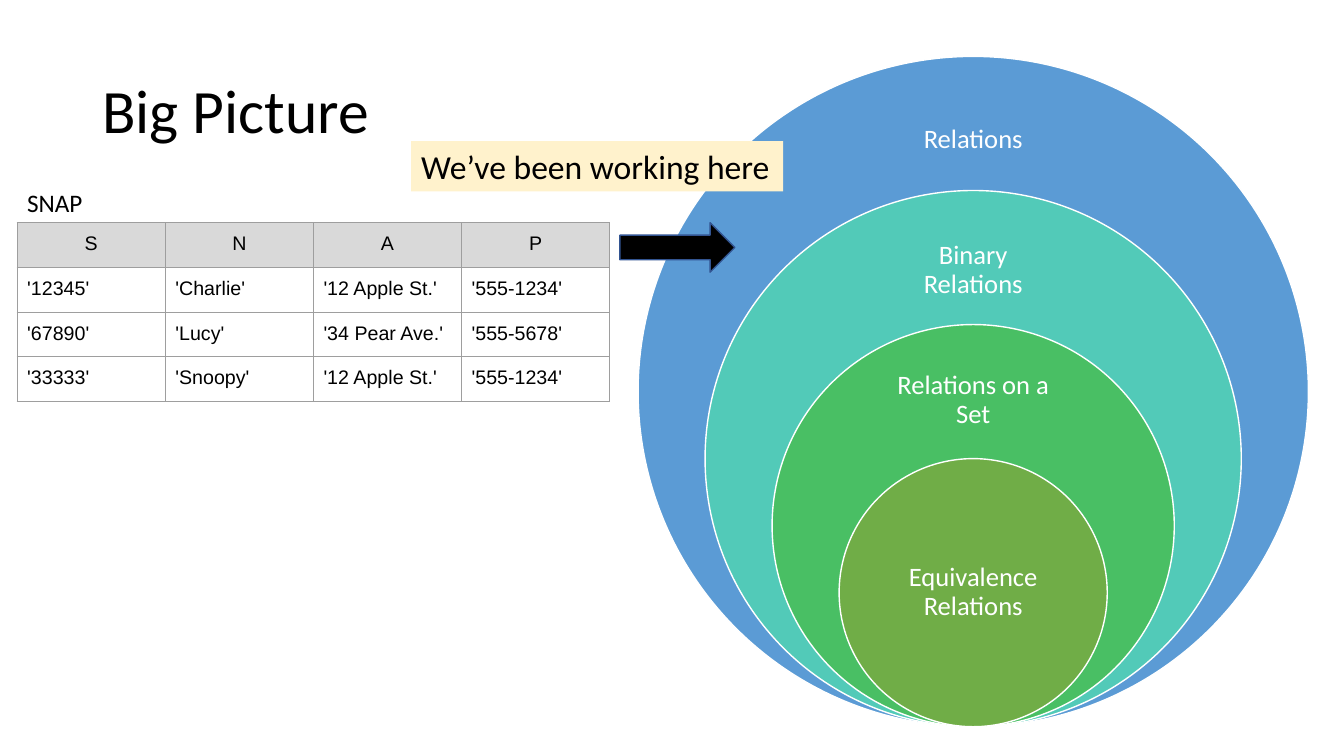
import pptx
import pptx.dml.color
import pptx.enum.shapes
import pptx.enum.text
import pptx.oxml
import pptx.oxml.ns
import pptx.util
from dataclasses import dataclass
from typing import Any

# Slide grid: 80 columns by 45 rows
WIDE, HIGH = pptx.util.Inches(13.333), pptx.util.Inches(7.5)
COLS, ROWS = 80, 45
SHAPE = pptx.enum.shapes.MSO_SHAPE
ALIGN = pptx.enum.text.PP_ALIGN
MIDDLE = pptx.enum.text.MSO_ANCHOR.MIDDLE
FIT = pptx.enum.text.MSO_AUTO_SIZE.SHAPE_TO_FIT_TEXT


@dataclass(frozen=True)
class Theme:
    font: str = "Calibri"
    cell_font: str = "Arial"
    title: int = 44
    note: int = 24
    ring: int = 19
    name: int = 18
    cell: int = 14
    black: str = "000000"
    white: str = "FFFFFF"
    cream: str = "FFF2CC"
    head: str = "D9D9D9"
    rule: str = "9E9E9E"
    edge: str = "325491"


@dataclass(frozen=True)
class Box:
    left: float
    top: float
    width: float
    height: float


@dataclass(frozen=True)
class Ring:
    text: str
    fill: str
    drop: float  # rows from the ring's top to its label
    height: float  # rows of the label


@dataclass(frozen=True)
class Label:
    text: str
    box: Box
    size: int
    color: str = "000000"
    fill: str = ""
    wrap: bool = False
    middle: bool = False
    center: bool = False
    tight: float = 1.0
    inset: float = 0.0  # inches on all sides; 0 keeps the default


THEME = Theme()
RINGS = [
    Ring("Relations", "5B9BD5", 1.98, 6),
    Ring("Binary Relations", "52CAB8", 1.86, 5.76),
    Ring("Relations on a Set", "49BF64", 1.8, 5.4),
    Ring("Equivalence Relations", "70AD47", 3.96, 7.98),
]
MID, BASE, STEP, SPAN = 57.93, 43.26, 7.98, 11.2
GRID = Box(1.02, 13.26, 35.28, 10.64)
ARROW = Box(36.9, GRID.top, 6.84, 2.94)
DATA = [
    ["S", "N", "A", "P"],
    ["'12345'", "'Charlie'", "'12 Apple St.'", "'555-1234'"],
    ["'67890'", "'Lucy'", "'34 Pear Ave.'", "'555-5678'"],
    ["'33333'", "'Snoopy'", "'12 Apple St.'", "'555-1234'"],
]
TITLE = Label("Big Picture", Box(5.5, 2.4, 69, 8.7), THEME.title,
              wrap=True, middle=True, tight=0.9)
NOTES = [
    Label("SNAP", Box(GRID.left, 10.86, 4.56, 2.4), THEME.name),
    Label("We’ve been working here", Box(24.48, 8.4, 22.14, 3), THEME.note,
          fill=THEME.cream),
]


def place(box: Box) -> tuple[int, int, int, int]:
    return (round(box.left / COLS * WIDE), round(box.top / ROWS * HIGH),
            round(box.width / COLS * WIDE), round(box.height / ROWS * HIGH))


def paint(fill: Any, color: str) -> None:
    fill.solid()
    fill.fore_color.rgb = pptx.dml.color.RGBColor.from_string(color)


def write(para: Any, text: str, font: str, size: int, color: str) -> None:
    run = para.add_run()
    run.text = text
    run.font.name = font
    run.font.size = pptx.util.Pt(size)
    run.font.color.rgb = pptx.dml.color.RGBColor.from_string(color)


def pad(item: Any, inset: float) -> None:
    for side in ("left", "top", "right", "bottom"):
        setattr(item, f"margin_{side}", pptx.util.Inches(inset))


def add_label(slide: Any, label: Label) -> None:
    shape = slide.shapes.add_textbox(*place(label.box))
    if label.fill:
        paint(shape.fill, label.fill)
    frame = shape.text_frame
    frame.word_wrap = label.wrap
    if not label.wrap:
        frame.auto_size = FIT
    if label.middle:
        frame.vertical_anchor = MIDDLE
    if label.inset:
        pad(frame, label.inset)
    para = frame.paragraphs[0]
    para.alignment = ALIGN.CENTER if label.center else ALIGN.LEFT
    para.line_spacing = label.tight
    write(para, label.text, THEME.font, label.size, label.color)


def add_form(slide: Any, kind: Any, box: Box, fill: str, line: str) -> None:
    shape = slide.shapes.add_shape(kind, *place(box))
    shape.shadow.inherit = False
    paint(shape.fill, fill)
    paint(shape.line.fill, line)
    shape.line.width = pptx.util.Pt(1)


def add_ring(slide: Any, index: int, ring: Ring) -> None:
    size = STEP * (5 - index)
    top = BASE - size
    add_form(slide, SHAPE.OVAL, Box(MID - size / 2, top, size, size),
             ring.fill, THEME.white)
    box = Box(MID - SPAN / 2, top + ring.drop, SPAN, ring.height)
    add_label(slide, Label(ring.text, box, THEME.ring, THEME.white, wrap=True,
                           middle=True, center=True, tight=0.9, inset=0.15))


def add_rules(cell: Any) -> None:
    props = cell._tc.get_or_add_tcPr()
    for spot, side in enumerate(("lnL", "lnR", "lnT", "lnB")):
        props.insert(spot, pptx.oxml.parse_xml(
            f'<a:{side} {pptx.oxml.ns.nsdecls("a")} w="9525"><a:solidFill>'
            f'<a:srgbClr val="{THEME.rule}"/></a:solidFill></a:{side}>'))


def add_grid(slide: Any) -> None:
    table = slide.shapes.add_table(len(DATA), len(DATA[0]), *place(GRID)).table
    table.first_row = table.horz_banding = False
    for r, row in enumerate(DATA):
        for c, text in enumerate(row):
            cell = table.cell(r, c)
            pad(cell, 0.1)
            if r == 0:
                paint(cell.fill, THEME.head)
            else:
                cell.fill.background()
            add_rules(cell)
            para = cell.text_frame.paragraphs[0]
            para.alignment = ALIGN.LEFT if r else ALIGN.CENTER
            write(para, text, THEME.cell_font, THEME.cell, THEME.black)


def main() -> None:
    deck = pptx.Presentation()
    deck.slide_width, deck.slide_height = WIDE, HIGH
    slide = deck.slides.add_slide(deck.slide_layouts[6])
    # Title and nested rings
    add_label(slide, TITLE)
    for index, ring in enumerate(RINGS):
        add_ring(slide, index, ring)
    # Table with its arrow and notes
    add_grid(slide)
    add_form(slide, SHAPE.RIGHT_ARROW, ARROW, THEME.black, THEME.edge)
    for note in NOTES:
        add_label(slide, note)
    deck.save("out.pptx")


if __name__ == "__main__":
    main()
